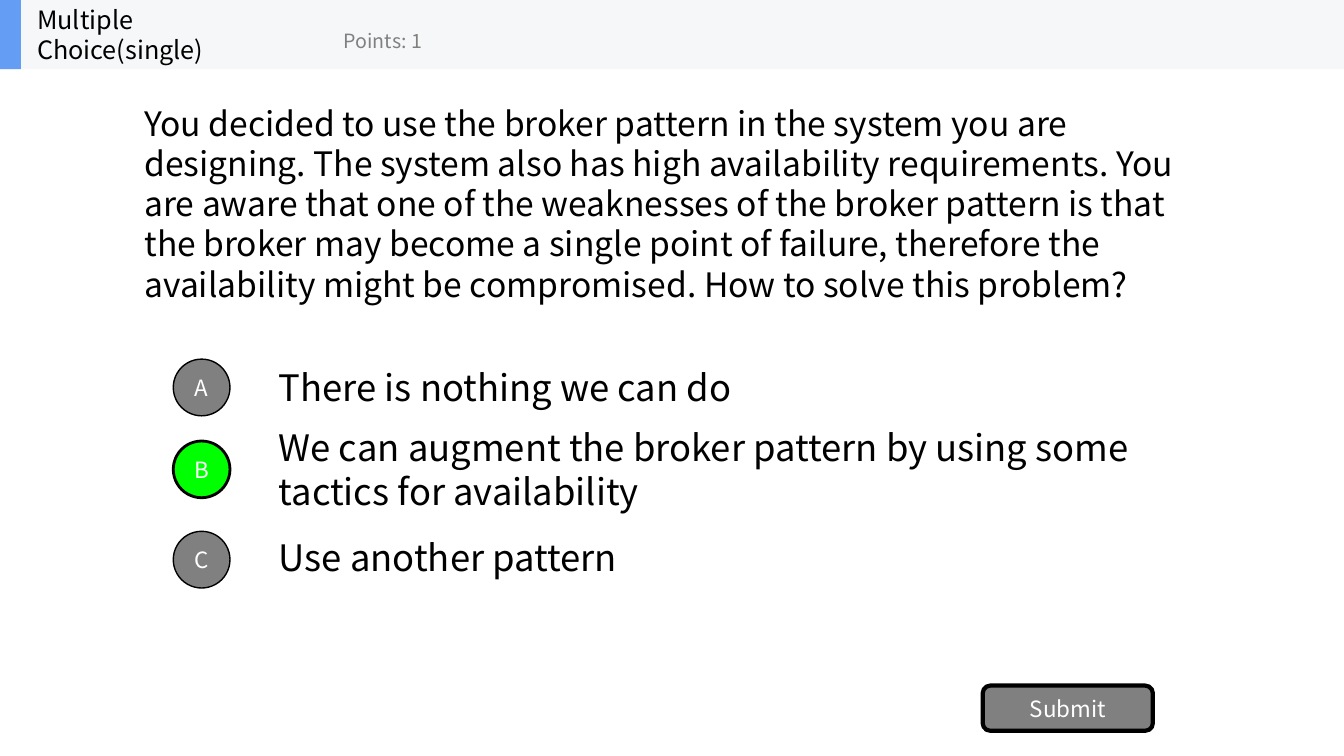
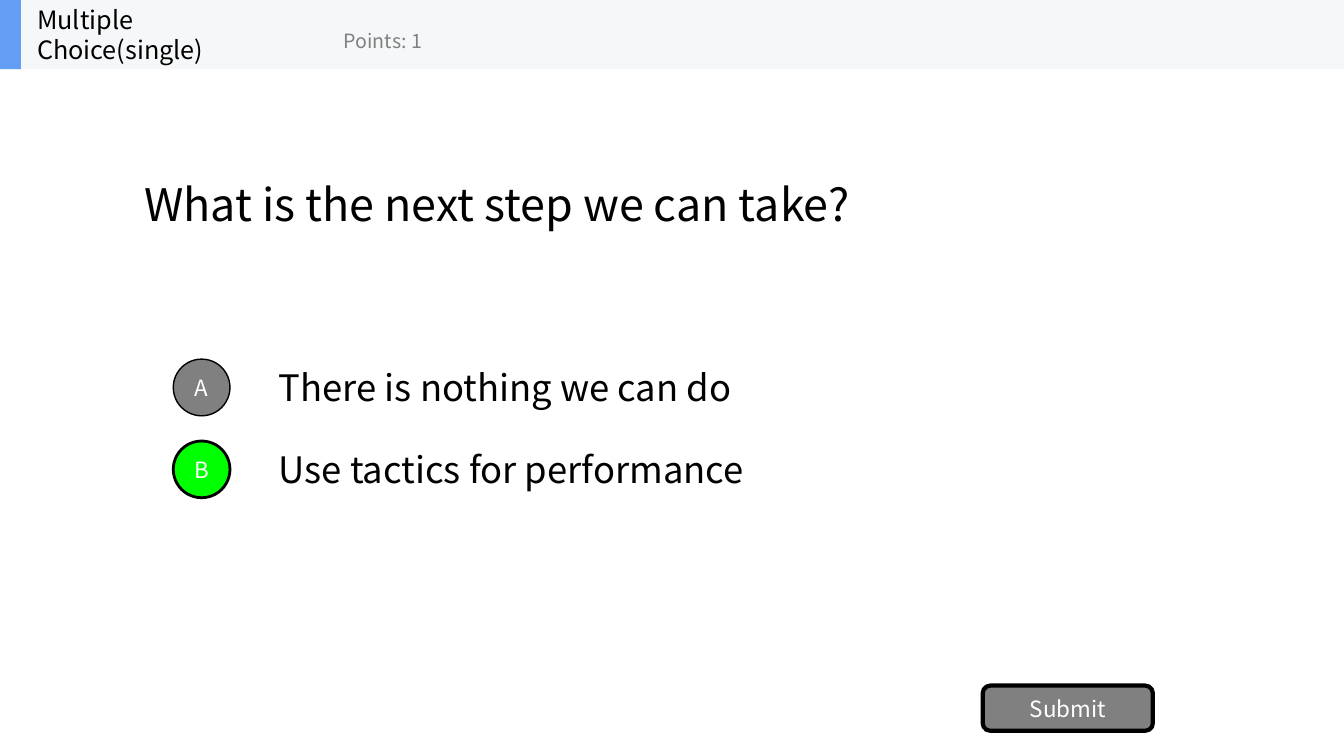
from dataclasses import dataclass

from pptx import Presentation
from pptx.dml.color import RGBColor
from pptx.enum.shapes import MSO_SHAPE as Shape
from pptx.enum.text import MSO_ANCHOR as Anchor, PP_ALIGN as Align
from pptx.util import Emu, Pt

# Shared style
FONT = "Noto Sans CJK SC"
COLORS = {
    "text": "000000",
    "light": "FFFFFF",
    "muted": "808080",
    "correct": "00FF00",
    "band": "F6F7F8",
    "accent": "639EF4",
}
PAGE_WIDTH, PAGE_HEIGHT = 1280, 720
HEADER_HEIGHT = 66
BADGE_SIZE = 54


@dataclass(frozen=True)
class Box:
    left: int
    top: int
    width: int
    height: int

    def emu(self) -> tuple[Emu, ...]:
        return tuple(px(n) for n in (self.left, self.top, self.width, self.height))


@dataclass(frozen=True)
class Option:
    text: str
    correct: bool = False


@dataclass(frozen=True)
class Question:
    text: str
    size: int
    options: tuple[Option, ...]


# Tops of each answer row: its text, its badge
ROW_TOPS = ((335, 342), (413, 420), (497, 506))

QUESTIONS = (
    Question(
        "You decided to use the broker pattern in the system you are designing. "
        "The system also has high availability requirements. You are aware that "
        "one of the weaknesses of the broker pattern is that the broker may become "
        "a single point of failure, therefore the availability might be "
        "compromised. How to solve this problem?",
        24,
        (
            Option("There is nothing we can do"),
            Option(
                "We can augment the broker pattern by using some tactics for availability",
                correct=True,
            ),
            Option("Use another pattern"),
        ),
    ),
    Question(
        "What is the next step we can take?",
        32,
        (
            Option("There is nothing we can do"),
            Option("Use tactics for performance", correct=True),
        ),
    ),
)


def px(length: int) -> Emu:
    return Emu(length * 9525)


def rgb(name: str) -> RGBColor:
    return RGBColor.from_string(COLORS[name])


def write(shape, text: str, *, size: int, color: str = "text",
          align: Align = Align.LEFT, wrap: bool = True) -> None:
    frame = shape.text_frame
    frame.word_wrap = wrap
    frame.vertical_anchor = Anchor.MIDDLE
    para = frame.paragraphs[0]
    para.alignment = align
    span = para.add_run()
    span.text = text
    span.font.name = FONT
    span.font.size = Pt(size)
    span.font.color.rgb = rgb(color)


def add_text(shapes, box: Box, text: str, **style) -> None:
    write(shapes.add_textbox(*box.emu()), text, **style)


def add_filled(shapes, kind: Shape, box: Box, fill: str, line: int = 0):
    shape = shapes.add_shape(kind, *box.emu())
    shape.shadow.inherit = False
    shape.fill.solid()
    shape.fill.fore_color.rgb = rgb(fill)
    if line:
        shape.line.color.rgb = rgb("text")
        shape.line.width = Pt(line)
    else:
        shape.line.fill.background()
    return shape


def add_button(shapes, kind: Shape, box: Box, text: str, fill: str, line: int) -> None:
    button = add_filled(shapes, kind, box, fill, line)
    write(button, text, size=16, color="light", align=Align.CENTER)


def add_header(page) -> None:
    shapes = page.shapes.add_group_shape().shapes
    add_filled(shapes, Shape.RECTANGLE, Box(0, 0, PAGE_WIDTH, HEADER_HEIGHT), "band")
    add_filled(shapes, Shape.RECTANGLE, Box(0, 0, 20, HEADER_HEIGHT), "accent")
    add_text(shapes, Box(26, 0, 200, HEADER_HEIGHT), "Multiple Choice(single)",
             size=18, wrap=False)
    add_text(shapes, Box(318, 12, 240, 54), "Points: 1",
             size=14, color="muted", wrap=False)


def add_question(deck, question: Question) -> None:
    page = deck.slides.add_slide(deck.slide_layouts[6])
    shapes = page.shapes

    # Question and answers
    add_text(shapes, Box(128, 81, 1024, 225), question.text, size=question.size)
    for letter, option, (text_top, badge_top) in zip("ABC", question.options, ROW_TOPS):
        add_text(shapes, Box(256, text_top, 896, 67), option.text, size=26)
        add_button(shapes, Shape.OVAL, Box(165, badge_top, BADGE_SIZE, BADGE_SIZE), letter,
                   fill="correct" if option.correct else "muted",
                   line=2 if option.correct else 1)

    # Submit button and header band
    add_button(shapes, Shape.ROUNDED_RECTANGLE, Box(936, 653, 162, 43), "Submit",
               fill="muted", line=3)
    add_header(page)


def main() -> None:
    deck = Presentation()
    deck.slide_width, deck.slide_height = px(PAGE_WIDTH), px(PAGE_HEIGHT)
    for question in QUESTIONS:
        add_question(deck, question)
    deck.save("out.pptx")


if __name__ == "__main__":
    main()
